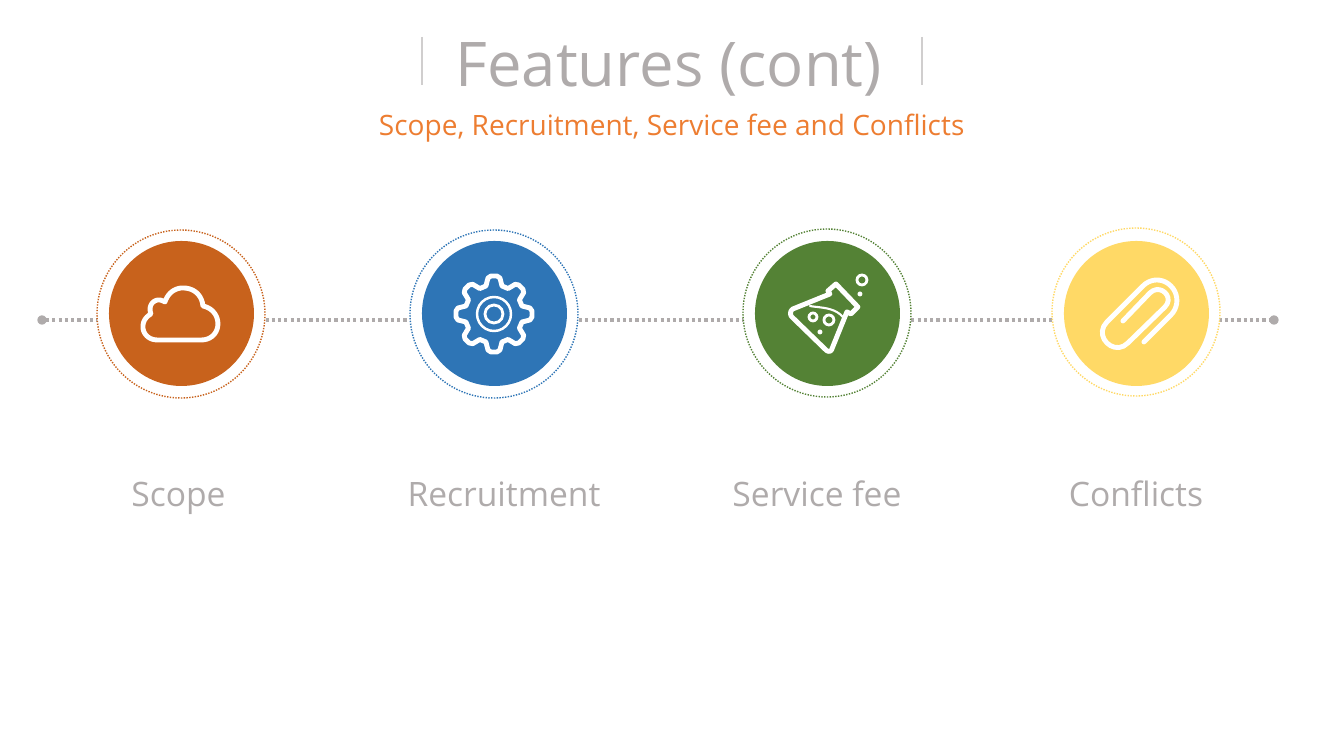
import math

import lxml.etree
import pptx
import pptx.dml.color
import pptx.enum.dml
import pptx.enum.shapes
import pptx.enum.text
import pptx.oxml.ns
import pptx.util

EMU_PER_PX = 914400 / 100.8
FONT = "Open Sans"
GREY, RULE_GREY, ORANGE, WHITE = "AFABAB", "D0CECE", "ED7D31", "FFFFFF"
OVAL = pptx.enum.shapes.MSO_SHAPE.OVAL
HALO, DISC = 168, 145

CLOUD = [
    (-24, 26), (-32, 26, -38, 20, -38, 13), (-38, 7, -35, 3, -30, 0),
    (-33, -8, -28, -14, -22, -14), (-20, -14, -18, -13, -16, -12),
    (-13, -21, -6, -26, 2, -26), (13, -26, 21, -19, 22, -8),
    (31, -6, 37, 1, 37, 10), (37, 19, 30, 26, 21, 26),
]
CLIP = [
    (8, 28), (35, 1), (43, -7, 43, -20, 35, -28), (27, -36, 15, -36, 7, -28),
    (-29, 8), (-43, 22, -22, 43, -8, 29), (29, -7),
    (39, -17, 24, -31, 14, -21), (-13, 7),
]
FLASK = [
    (1, -23), (9, -30), (31, -7), (24, 0), (20, -2), (5, 35),
    (4, 38, 1, 38, -1, 36), (-35, 3), (-37, 1, -37, -3, -34, -5), (3, -20),
]
LIQUID = [(-17, -8), (-6, -6, 7, -7, 16, 3)]
BUBBLES = [(2, 6, 5), (35, -34, 5), (-14, 3, 4), (-7, 18, 1), (33, -20, 1)]
TOOTH = [(-8, -28), (-6, -36), (-3, -38), (3, -38), (6, -36), (8, -28)]


def px(length):
    return pptx.util.Emu(round(length * EMU_PER_PX))


def color(value):
    return pptx.dml.color.RGBColor.from_string(value)


def stroke(line, hue, width):
    line.color.rgb = color(hue)
    line.width = pptx.util.Pt(width)


def write(box, words, size, hue):
    frame = box.text_frame
    frame.word_wrap = True
    frame.auto_size = pptx.enum.text.MSO_AUTO_SIZE.NONE
    frame.vertical_anchor = pptx.enum.text.MSO_ANCHOR.MIDDLE
    line = frame.paragraphs[0]
    line.alignment = pptx.enum.text.PP_ALIGN.CENTER
    line.line_spacing = 1.0
    run = line.add_run()
    run.text = words
    run.font.name = FONT
    run.font.size = pptx.util.Pt(size)
    run.font.color.rgb = color(hue)


def add_words(shapes, left, top, width, height, words, size, hue):
    box = shapes.add_textbox(px(left), px(top), px(width), px(height))
    write(box, words, size, hue)


def add_rule(shapes, x1, y1, x2, y2, hue, width):
    rule = shapes.add_connector(
        pptx.enum.shapes.MSO_CONNECTOR.STRAIGHT, px(x1), px(y1), px(x2), px(y2))
    stroke(rule.line, hue, width)
    lxml.etree.SubElement(rule._element.spPr, pptx.oxml.ns.qn("a:effectLst"))
    return rule


def add_circle(shapes, left, top, diameter, fill=None):
    circle = shapes.add_shape(OVAL, px(left), px(top), px(diameter), px(diameter))
    circle.shadow.inherit = False
    circle.line.fill.background()
    if fill:
        circle.fill.solid()
        circle.fill.fore_color.rgb = color(fill)
    else:
        circle.fill.background()
    return circle


def add_ring(shapes, x, y, radius, width):
    ring = add_circle(shapes, x - radius, y - radius, 2 * radius)
    stroke(ring.line, WHITE, width)


def trace(steps, pieces=10):
    points = [steps[0]]
    for step in steps[1:]:
        if len(step) == 2:
            points.append(step)
            continue
        x0, y0 = points[-1]
        x1, y1, x2, y2, x3, y3 = step
        for piece in range(1, pieces + 1):
            t = piece / pieces
            a, b, c, d = (1 - t) ** 3, 3 * t * (1 - t) ** 2, 3 * t * t * (1 - t), t ** 3
            points.append((a * x0 + b * x1 + c * x2 + d * x3,
                           a * y0 + b * y1 + c * y2 + d * y3))
    return points


def add_outline(shapes, x, y, steps, width=3.5, close=True):
    points = [(px(x + dx), px(y + dy)) for dx, dy in trace(steps)]
    builder = shapes.build_freeform(*points[0], scale=1.0)
    builder.add_line_segments(points[1:], close=close)
    outline = builder.convert_to_shape()
    outline.shadow.inherit = False
    outline.fill.background()
    stroke(outline.line, WHITE, width)
    ln = outline.line._get_or_add_ln()
    ln.set("cap", "rnd")
    lxml.etree.SubElement(ln, pptx.oxml.ns.qn("a:round"))


def draw_cloud(shapes, x, y):
    add_outline(shapes, x, y, CLOUD)


def draw_gear(shapes, x, y):
    rim = []
    for turn in range(8):
        cos, sin = math.cos(turn * math.pi / 4), math.sin(turn * math.pi / 4)
        rim += [(dx * cos - dy * sin, dx * sin + dy * cos) for dx, dy in TOOTH]
    add_outline(shapes, x, y, rim)
    add_ring(shapes, x, y, 17, 1.75)
    add_ring(shapes, x, y, 9, 2)


def draw_flask(shapes, x, y):
    add_outline(shapes, x, y, FLASK)
    add_outline(shapes, x, y, LIQUID, 1.5, close=False)
    for dx, dy, radius in BUBBLES:
        add_ring(shapes, x + dx, y + dy, radius, 2)


def draw_clip(shapes, x, y):
    add_outline(shapes, x, y, CLIP, close=False)


def add_heading(slide, left, top, width, height):
    title = slide.shapes.title
    title.left, title.top, title.width, title.height = map(px, (left, top, width, height))
    write(title, "Features (cont)", 44, GREY)
    for x in (left + 206, left + 706):
        add_rule(slide.shapes, x, top + 18, x, top + 66, RULE_GREY, 1.5)
    add_words(slide.shapes, left + 123, top + 83, 666, 44,
              "Scope, Recruitment, Service fee and Conflicts", 20, ORANGE)


def add_rail(slide, left, y, width):
    rail = add_rule(slide.shapes, left, y, left + width, y, GREY, 2.25)
    rail.line.dash_style = pptx.enum.dml.MSO_LINE.ROUND_DOT
    for end in ("a:headEnd", "a:tailEnd"):
        lxml.etree.SubElement(rail.line._get_or_add_ln(), pptx.oxml.ns.qn(end), type="oval")


def add_emblem(slide, left, top, hue, draw_icon):
    emblem = slide.shapes.add_group_shape().shapes
    halo = add_circle(emblem, left, top, HALO, WHITE)
    stroke(halo.line, hue, 1)
    halo.line.dash_style = pptx.enum.dml.MSO_LINE.ROUND_DOT
    add_circle(emblem, left + 12, 241, DISC, hue)
    draw_icon(emblem, left + HALO / 2, 314)


def main():
    deck = pptx.Presentation()
    deck.slide_width, deck.slide_height = px(1344), px(756)
    slide = deck.slides.add_slide(deck.slide_layouts[5])
    add_rail(slide, 42, 320, 1232)
    add_heading(slide, 216, 19, 906, 85)
    features = [
        ("Scope", 104, 149, 97, 230, "C8621C", draw_cloud),
        ("Recruitment", 374, 260, 410, 230, "2E75B6", draw_gear),
        ("Service fee", 684, 266, 743, 229, "548235", draw_flask),
        ("Conflicts", 1032, 208, 1052, 228, "FFD966", draw_clip),
    ]
    for name, left, width, halo_left, halo_top, hue, draw_icon in features:
        add_words(slide.shapes, left, 468, width, 50, name, 24, GREY)
        add_emblem(slide, halo_left, halo_top, hue, draw_icon)
    deck.save("out.pptx")


if __name__ == "__main__":
    main()
